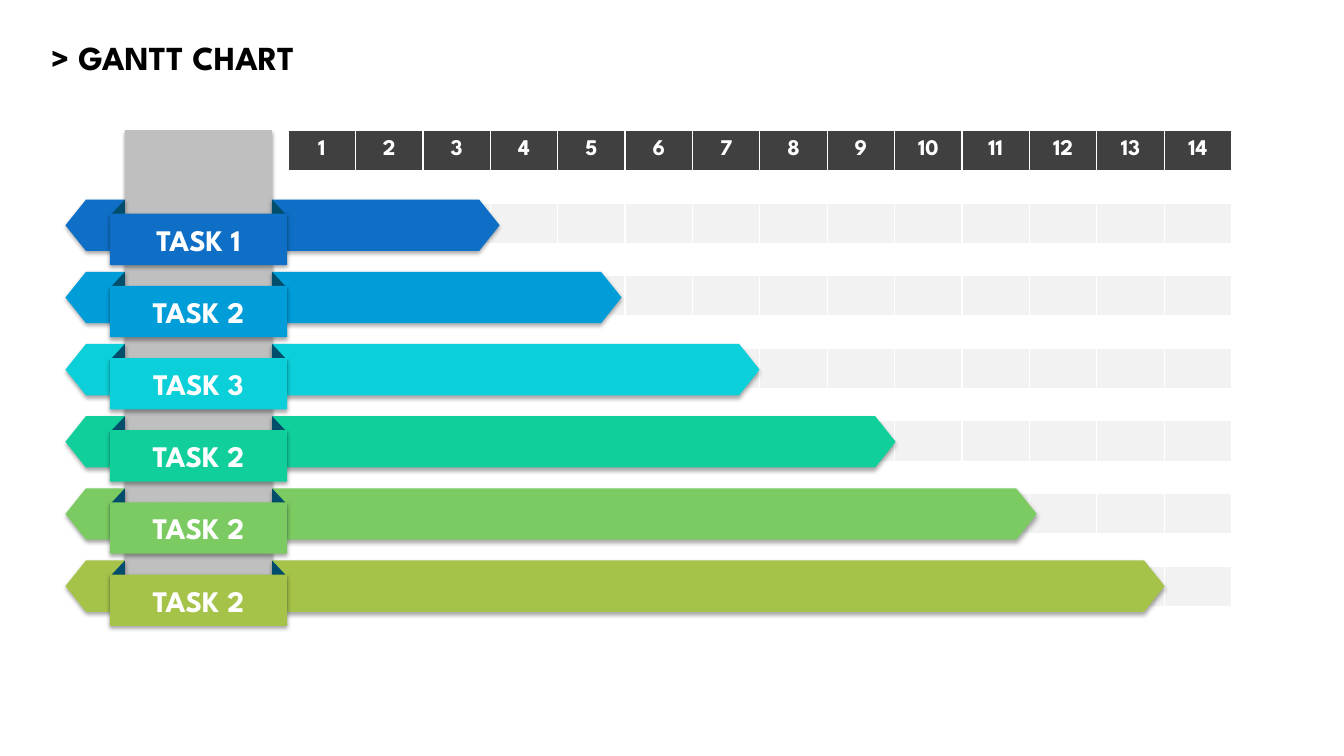
from lxml import etree
from pptx import Presentation
from pptx.dml.color import RGBColor
from pptx.enum import shapes, text
from pptx.oxml import ns
from pptx.util import Inches, Pt

BLACK = RGBColor(0x00, 0x00, 0x00)
WHITE = RGBColor(0xFF, 0xFF, 0xFF)
HEADER = RGBColor(0x40, 0x40, 0x40)
TRACK = RGBColor(0xF2, 0xF2, 0xF2)
POST = RGBColor(0xBF, 0xBF, 0xBF)
FOLD = RGBColor(0x00, 0x4E, 0x6C)
BLUE = RGBColor(0x0F, 0x6F, 0xC6)
SKY = RGBColor(0x00, 0x9D, 0xD9)
CYAN = RGBColor(0x0B, 0xD0, 0xD9)
TEAL = RGBColor(0x10, 0xCF, 0x9B)
GREEN = RGBColor(0x7C, 0xCA, 0x62)
OLIVE = RGBColor(0xA5, 0xC2, 0x49)

FONT = "League Spartan"
PERIODS = 14
BAR_H = 0.51
FIRST_TOP, LAST_TOP = 1.98, 5.56
TASKS = [
    ("TASK 1", 2.26, BLUE),
    ("TASK 2", 3.47, SKY),
    ("TASK 3", 4.84, CYAN),
    ("TASK 2", 6.19, TEAL),
    ("TASK 2", 7.59, GREEN),
    ("TASK 2", 8.86, OLIVE),
]


def add_xml(parent, tag, **attrs):
    return etree.SubElement(parent, ns.qn(tag), attrs)


def write(tf, content, size, color, align):
    p = tf.paragraphs[0]
    p.alignment = align
    r = p.add_run()
    r.text = content
    for name, value in dict(name=FONT, size=Pt(size), bold=True).items():
        setattr(r.font, name, value)
    r.font.color.rgb = color


def add_shadow(sp):
    effects = sp._element.spPr.find(ns.qn("a:effectLst"))
    shadow = add_xml(effects, "a:outerShdw", blurRad=str(Pt(3.1)), dist=str(Pt(1.8)),
                     dir="5400000", algn="t", rotWithShape="0")
    add_xml(add_xml(shadow, "a:srgbClr", val=str(BLACK)), "a:alpha", val="35000")


def add_block(parent, kind, box, color, adj=None, rotation=0, flip=False, shadow=True):
    sp = parent.add_shape(kind, *map(Inches, box))
    sp.shadow.inherit = False
    sp.fill.solid()
    sp.fill.fore_color.rgb = color
    sp.line.fill.background()
    sp.rotation = rotation
    if adj is not None:
        sp.adjustments[0] = adj
    if flip:
        sp._element.spPr.xfrm.set("flipH", "1")
    if shadow:
        add_shadow(sp)
    return sp


def add_title(s, content):
    tf = s.shapes.add_textbox(*map(Inches, (0.41, 0.28, 5.32, 0.58))).text_frame
    tf.word_wrap = True
    tf.vertical_anchor = text.MSO_ANCHOR.MIDDLE
    write(tf, content, 24, BLACK, text.PP_ALIGN.LEFT)


def style_cell(cell, color):
    margins = dict(margin_left=0.13, margin_right=0.13, margin_top=0.07, margin_bottom=0.07)
    for name, value in margins.items():
        setattr(cell, name, Inches(value))
    cell.vertical_anchor = text.MSO_ANCHOR.MIDDLE
    tcPr = cell._tc.get_or_add_tcPr()
    for tag in ("a:lnL", "a:lnR"):
        line = add_xml(tcPr, tag, w=str(Pt(1)))
        add_xml(add_xml(line, "a:solidFill"), "a:srgbClr", val=str(WHITE))
    cell.fill.solid()
    cell.fill.fore_color.rgb = color


def add_timeline(s):
    rows = 2 * len(TASKS) + 1
    frame = s.shapes.add_table(rows, PERIODS, *map(Inches, (2.86, 1.29, 9.37, 4.7)))
    table = frame.table
    table.first_row = table.horz_banding = False
    for col in table.columns:
        col.width = Inches(9.37 / PERIODS)
    for i, row in enumerate(table.rows):
        row.height = Inches(0.32 if i % 2 else 0.4)
        color = HEADER if i == 0 else WHITE if i % 2 else TRACK
        for number, cell in enumerate(row.cells, 1):
            style_cell(cell, color)
            if i == 0:
                write(cell.text_frame, str(number), 16, WHITE, text.PP_ALIGN.CENTER)
            else:
                add_xml(cell.text_frame.paragraphs[0]._p, "a:endParaRPr", sz="800")


def add_task(s, top, label, length, color):
    kinds = shapes.MSO_SHAPE
    add_block(s.shapes, kinds.PENTAGON, (2.7, top, length, BAR_H), color, adj=0.4)
    ribbon = s.shapes.add_group_shape().shapes
    add_block(ribbon, kinds.PENTAGON, (0.65, top, 0.59, BAR_H), color, adj=0.4, flip=True)
    for left, rotation, flip in ((0.92, 270, True), (2.53, 90, False)):
        add_block(ribbon, kinds.PARALLELOGRAM, (left, top + 0.17, 0.49, 0.15), FOLD,
                  adj=1.07, rotation=rotation, flip=flip, shadow=False)
    banner = add_block(ribbon, kinds.RECTANGLE, (1.09, top + 0.14, 1.76, BAR_H), color)
    banner.text_frame.vertical_anchor = text.MSO_ANCHOR.MIDDLE
    write(banner.text_frame, label, 21.3, WHITE, text.PP_ALIGN.CENTER)


def main():
    prs = Presentation()
    prs.slide_width, prs.slide_height = Inches(13.34), Inches(7.5)
    s = prs.slides.add_slide(prs.slide_layouts[6])
    add_title(s, "> GANTT CHART")
    add_block(s.shapes, shapes.MSO_SHAPE.RECTANGLE, (1.24, 1.29, 1.46, 4.67), POST)
    add_timeline(s)
    pitch = (LAST_TOP - FIRST_TOP) / (len(TASKS) - 1)
    for i, task in enumerate(TASKS):
        add_task(s, FIRST_TOP + i * pitch, *task)
    prs.save("out.pptx")


if __name__ == "__main__":
    main()
